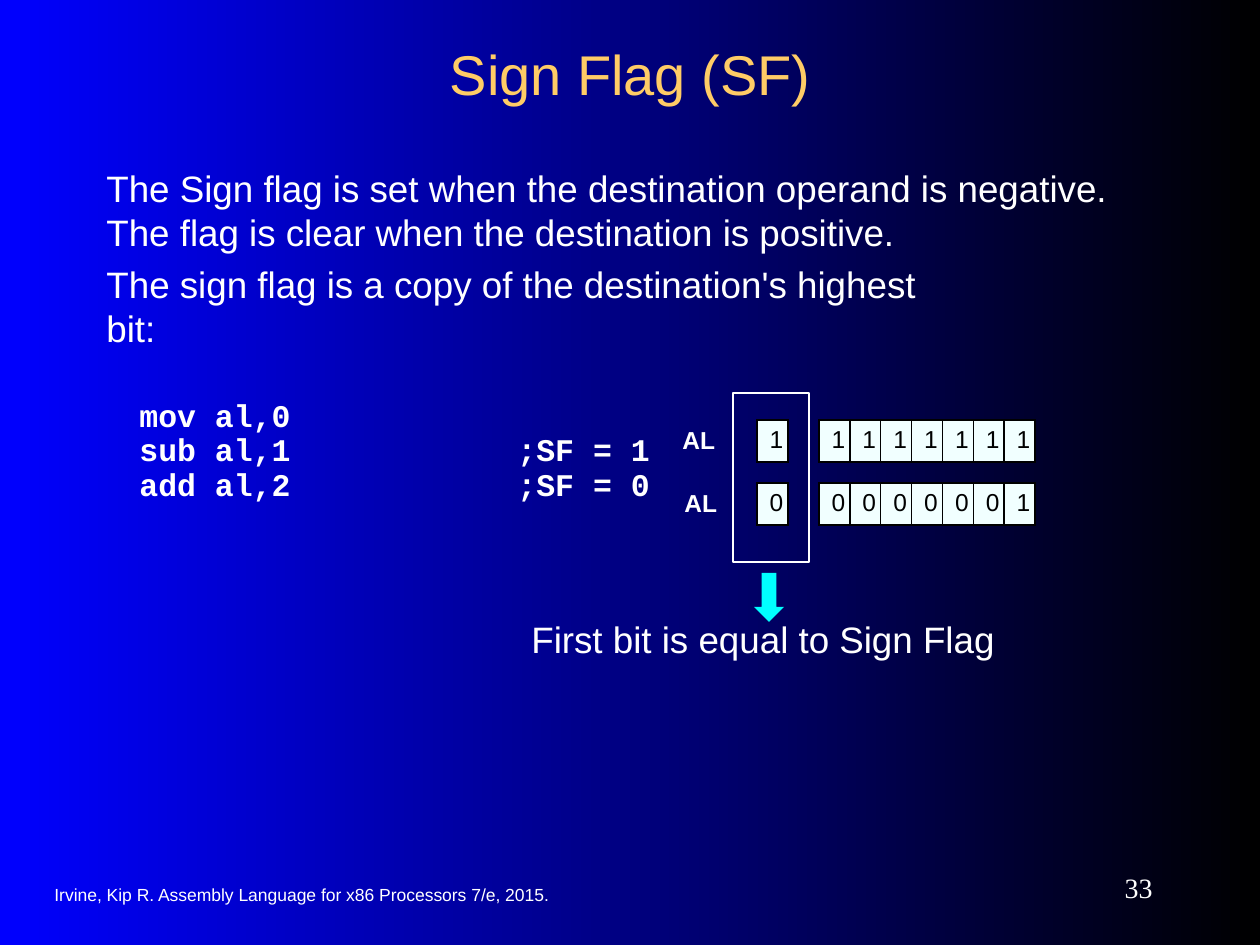
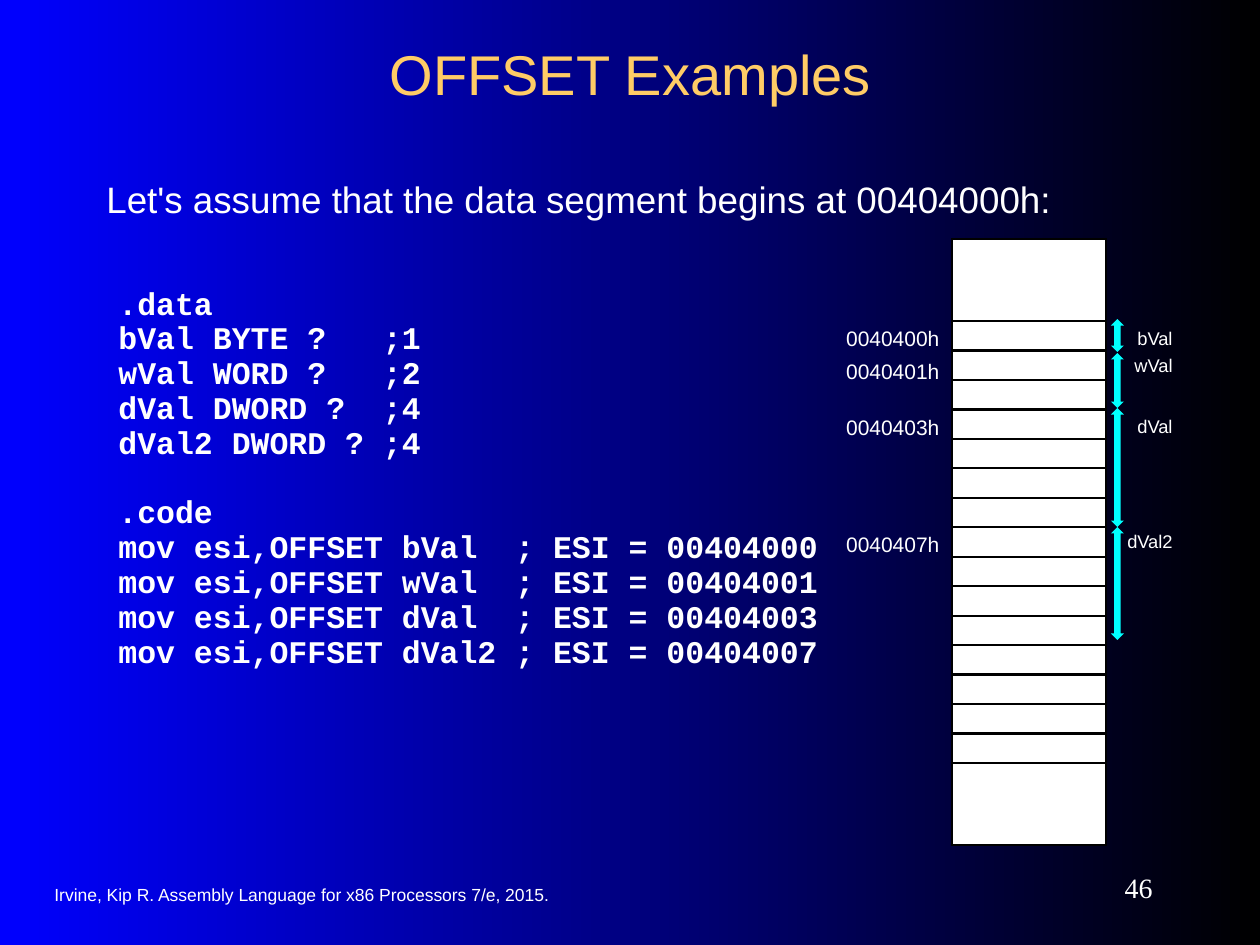
from pptx import Presentation
from pptx.dml.color import RGBColor
from pptx.enum.shapes import MSO_SHAPE as SHAPE
from pptx.enum.text import MSO_ANCHOR as ANCHOR, PP_ALIGN as ALIGN
from pptx.oxml.ns import qn
from pptx.util import Inches, Pt
from lxml.etree import SubElement

WHITE, BLACK, BLUE = "FFFFFF", "000000", "0000FF"
GOLD, CYAN, PALE = "FFCC66", "00FFFF", "F1FFFF"
SANS, SERIF, MONO = "Arial", "Times New Roman", "Courier New"
FOOTER = "Irvine, Kip R. Assembly Language for x86 Processors 7/e, 2015."
SCALE = Inches(1) / 126

# text, left, top, width, height
SIGN_TEXT = [
    ("The Sign flag is set when the destination operand is negative. "
     "The flag is clear when the destination is positive.", 94, 147, 1061, 126),
    ("The sign flag is a copy of the destination's highest bit:",
     94, 243, 860, 126),
]
SIGN_CODE = [
    "mov al,0",
    "sub al,1            ;SF = 1",
    "add al,2            ;SF = 0",
]
# bits, top of the row, left of its label
BYTES = [("11111111", 420, 670), ("00000001", 483, 672)]

OFFSET_TEXT = "Let's assume that the data segment begins at 00404000h:"
OFFSET_CODE = [
    ".data",
    "bVal BYTE ?   ;1",
    "wVal WORD ?   ;2",
    "dVal DWORD ?  ;4",
    "dVal2 DWORD ? ;4",
    "",
    ".code",
    "mov esi,OFFSET bVal  ; ESI = 00404000",
    "mov esi,OFFSET wVal  ; ESI = 00404001",
    "mov esi,OFFSET dVal  ; ESI = 00404003",
    "mov esi,OFFSET dVal2 ; ESI = 00404007",
]
# address and its top, name and its top, arrow top and height
VARS = [
    ("0040400h", 320, "bVal", 321, 319, 33),
    ("0040401h", 353, "wVal", 348, 353, 55),
    ("0040403h", 409, "dVal", 409, 408, 119),
    ("0040407h", 526, "dVal2", 524, 527, 113),
]
CELLS = [82] + [29.5] * 15 + [82]


def px(n):
    return round(n * SCALE)


def box(*dims):
    return [px(n) for n in dims]


def rgb(color):
    return RGBColor.from_string(color)


def style(font, size, color=WHITE, face=SANS, bold=False):
    font.size, font.name, font.bold = Pt(size), face, bold
    font.color.rgb = rgb(color)


def write(slide, text, dims, size, pad=6, anchor=ANCHOR.TOP,
          align=ALIGN.LEFT, **look):
    area = slide.shapes.add_textbox(*box(*dims))
    frame = area.text_frame
    frame.word_wrap, frame.vertical_anchor = True, anchor
    frame.margin_top = frame.margin_bottom = px(pad)
    frame.text = text
    for para in frame.paragraphs:
        style(para.font, size, **look)
        para.alignment = align
    return frame


def code(slide, lines, dims):
    """Write tightly set code; an empty line widens the next gap."""
    shown = [line for line in lines if line]
    frame = write(slide, "\n".join(shown), dims, 18, pad=19,
                  face=MONO, bold=True)
    for line, para in zip(shown, frame.paragraphs):
        at = lines.index(line)
        gap = at > 0 and not lines[at - 1]
        para.line_spacing = 0.5
        para.space_before = Pt(28.9 if gap else 9.1)


def edge(cell, width):
    props = cell._tc.get_or_add_tcPr()
    for at, side in enumerate(("lnL", "lnR", "lnT", "lnB")):
        line = props.makeelement(qn("a:" + side), {"w": str(Pt(width))})
        fill = SubElement(line, qn("a:solidFill"))
        SubElement(fill, qn("a:srgbClr"), val=BLACK)
        props.insert(at, line)


def grid(slide, left, top, wide, rows, heights, fill, line):
    """Add a table of equal columns; rows holds a string of digits each."""
    cols = len(rows[0]) or 1
    table = slide.shapes.add_table(
        len(rows), cols, *box(left, top, wide, sum(heights))).table
    table.first_row = table.horz_banding = False
    for col in table.columns:
        col.width = px(wide / cols)
    for r, (row, high) in enumerate(zip(rows, heights)):
        table.rows[r].height = px(high)
        for c in range(cols):
            cell = table.cell(r, c)
            cell.fill.solid()
            cell.fill.fore_color.rgb = rgb(fill)
            edge(cell, line)
            para = cell.text_frame.paragraphs[0]
            if row:
                run = para.add_run()
                run.text = row[c]
                style(run.font, 14, BLACK)
                para.alignment = ALIGN.CENTER
            else:
                cell.margin_top = cell.margin_bottom = 0
                para._p.get_or_add_endParaRPr().set("sz", "800")


def shape(slide, kind, dims, fill=None, line=None):
    item = slide.shapes.add_shape(kind, *box(*dims))
    item.shadow.inherit = False
    if fill:
        item.fill.solid()
        item.fill.fore_color.rgb = rgb(fill)
    else:
        item.fill.background()
    if line:
        item.line.color.rgb = rgb(line)
        item.line.width = Pt(0.75)
    else:
        item.line.fill.background()


def paint(master):
    fill = master.background.fill
    fill.gradient()
    fill.gradient_angle = 0
    for stop, color, at in zip(fill.gradient_stops, (BLUE, BLACK), (0, 1)):
        stop.color.rgb = rgb(color)
        stop.position = at


def start(deck, title, number):
    """Add a slide with its title, footer and number."""
    slide = deck.slides.add_slide(deck.slide_layouts[6])
    mid = ANCHOR.MIDDLE
    write(slide, FOOTER, (42, 873, 662, 42), 10, anchor=mid)
    write(slide, number, (1029, 861, 136, 53), 16, anchor=mid,
          face=SERIF, align=ALIGN.RIGHT)
    write(slide, title, (95, 31, 1071, 84), 32, anchor=mid,
          color=GOLD, align=ALIGN.CENTER)
    return slide


def sign(deck):
    slide = start(deck, "Sign Flag (SF)", "33")
    for text, *dims in SIGN_TEXT:
        write(slide, text, dims, 21, pad=19)
    code(slide, SIGN_CODE, (127, 393, 903, 136))
    for bits, top, left in BYTES:
        write(slide, "AL", (left, top - 1, 63, 43), 14, bold=True)
        grid(slide, 757, top, 31, [bits[0]], [42], PALE, 1)
        grid(slide, 819, top, 216, [bits[1:]], [42], PALE, 1)
    shape(slide, SHAPE.RECTANGLE, (733, 393, 76, 169), line=WHITE)
    write(slide, "First bit is equal to Sign Flag", (519, 611, 504, 57), 21)
    shape(slide, SHAPE.DOWN_ARROW, (754, 573, 30, 49), CYAN)


def offset(deck):
    slide = start(deck, "OFFSET Examples", "46")
    code(slide, OFFSET_CODE, (106, 281, 892, 451))
    write(slide, OFFSET_TEXT, (94, 158, 1061, 82), 21, pad=19)
    grid(slide, 952, 239, 154, [""] * len(CELLS), CELLS, WHITE, 1.5)
    for place, low, name, top, start_y, high in VARS:
        write(slide, place, (798, low, 154, 38), 12, align=ALIGN.RIGHT)
        shape(slide, SHAPE.UP_DOWN_ARROW, (1111, start_y, 13, high), CYAN)
        write(slide, name, (1076, top, 109, 35), 10.5, align=ALIGN.RIGHT)


def main():
    deck = Presentation()
    deck.slide_width, deck.slide_height = box(1260, 945)
    paint(deck.slide_master)
    sign(deck)
    offset(deck)
    deck.save("out.pptx")


if __name__ == "__main__":
    main()
